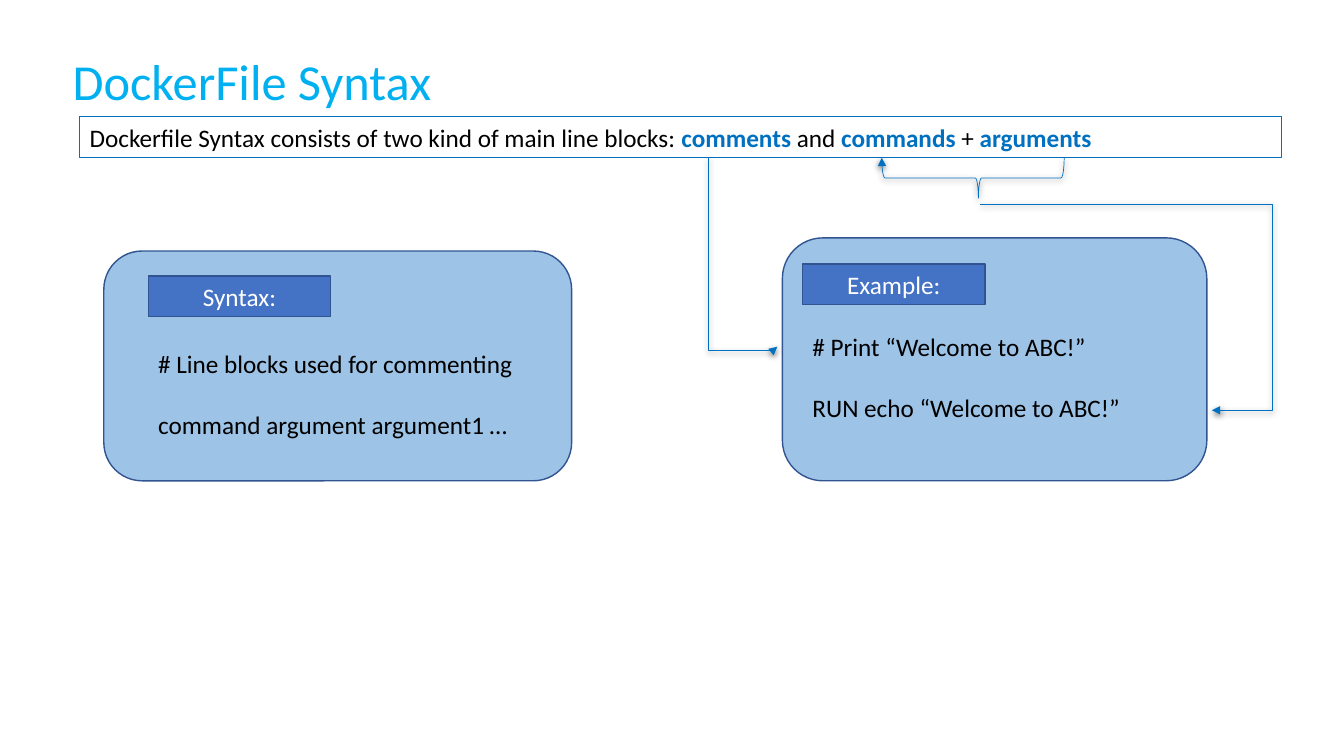
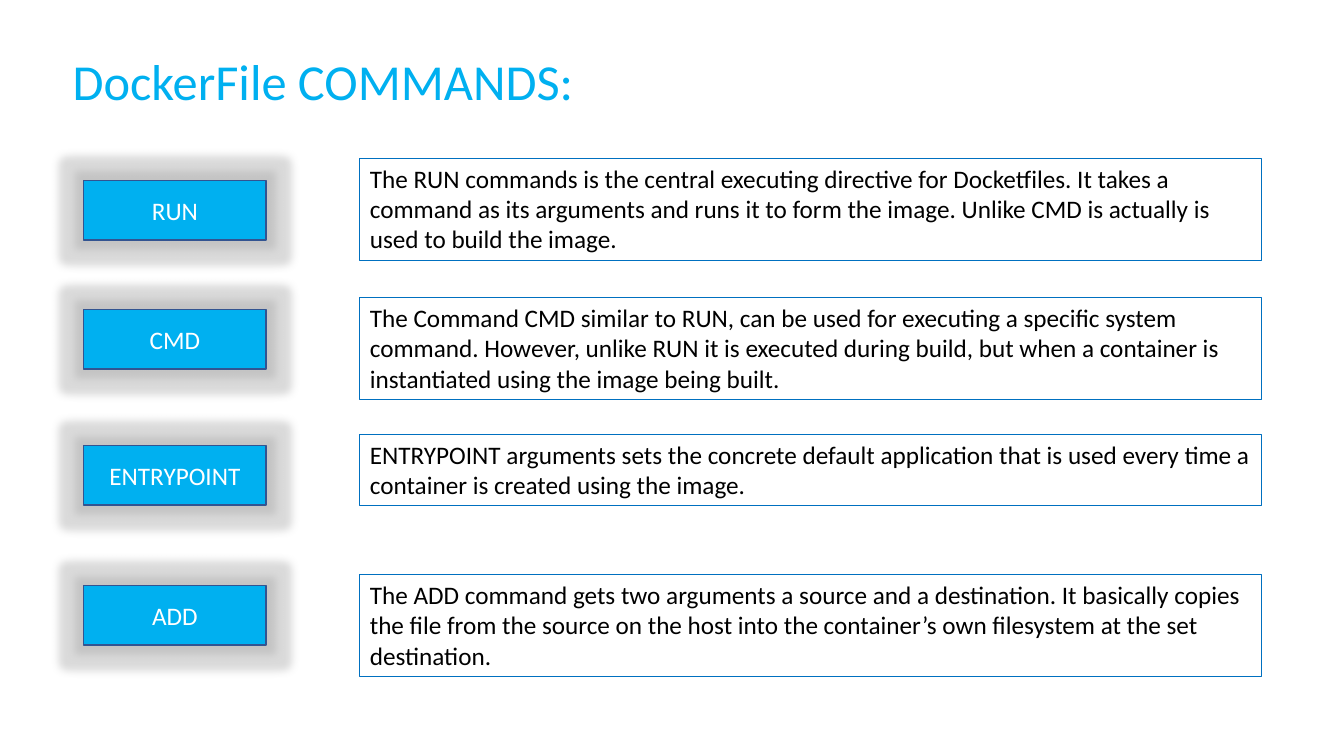
import dataclasses
import typing

import lxml.etree
import pptx
import pptx.dml.color
import pptx.enum.shapes
import pptx.enum.text
import pptx.oxml.ns
import pptx.util

Inches = pptx.util.Inches
Pt = pptx.util.Pt
qn = pptx.oxml.ns.qn
PRESET = pptx.enum.shapes.MSO_SHAPE
ALIGN = pptx.enum.text.PP_ALIGN
ANCHOR = pptx.enum.text.MSO_ANCHOR
AUTO_SIZE = pptx.enum.text.MSO_AUTO_SIZE

FONT = "Calibri"
BRIGHT_BLUE = "00B0F0"
DEEP_BLUE = "0070C0"
LABEL_BLUE = "4472C4"
PANEL_BLUE = "9DC3E6"
EDGE_BLUE = "325491"
GLOW_GRAY = "A5A5A5"
BLACK = "000000"
WHITE = "FFFFFF"

LABEL_WIDTH = 1.81
BODY_FRAME = {"word_wrap": True, "auto_size": AUTO_SIZE.SHAPE_TO_FIT_TEXT, "vertical_anchor": ANCHOR.TOP}
LABEL_FRAME = {"word_wrap": True, "vertical_anchor": ANCHOR.MIDDLE}


class Area(typing.NamedTuple):
    left: float
    top: float
    width: float
    height: float

    def lengths(self) -> list[pptx.util.Length]:
        return [Inches(value) for value in self]


class Span(typing.NamedTuple):
    text: str
    color: str = BLACK
    bold: bool = False


@dataclasses.dataclass(frozen=True)
class Panel:
    area: Area
    label: str
    label_left: float
    label_top: float
    text_top: float
    lines: tuple[str, str]


@dataclasses.dataclass(frozen=True)
class Command:
    name: str
    label_top: float
    box_top: float
    box_height: float
    description: str


TITLE_AREA = Area(0.62, 0.45, 12.06, 0.71)
INTRO_AREA = Area(0.79, 1.16, 11.92, 0.4)
INTRO = [
    Span("Dockerfile Syntax consists of two kind of main line blocks: "),
    Span("comments", DEEP_BLUE, True),
    Span(" and "),
    Span("commands", DEEP_BLUE, True),
    Span(" + "),
    Span("arguments", DEEP_BLUE, True),
]
PANELS = [
    Panel(Area(1.03, 2.49, 4.64, 2.28), "Syntax:", 1.47, 2.74, 3.41,
          ("# Line blocks used for commenting", "command argument argument1 …")),
    Panel(Area(7.76, 2.36, 4.21, 2.41), "Example:", 7.96, 2.62, 3.24,
          ("# Print “Welcome to ABC!”", "RUN echo “Welcome to ABC!”")),
]
COMMANDS = [
    Command("RUN", 1.79, 1.57, 1.01,
            "The RUN commands is the central executing directive for Docketfiles. It takes a command "
            "as its arguments and runs it to form the image. Unlike CMD is actually is used to build "
            "the image."),
    Command("CMD", 3.07, 2.95, 1.01,
            "The Command CMD similar to RUN, can be used for executing a specific system command. "
            "However, unlike RUN it is executed during build, but when a container is instantiated "
            "using the image being built."),
    Command("ENTRYPOINT", 4.42, 4.31, 0.71,
            "ENTRYPOINT arguments sets the concrete default application that is used every time a "
            "container is created using the image."),
    Command("ADD", 5.81, 5.7, 1.01,
            "The ADD command gets two arguments a source and a destination. It basically copies the "
            "file from the source on the host into the container’s own filesystem at the set "
            "destination."),
]


def rgb(color: str) -> pptx.dml.color.RGBColor:
    return pptx.dml.color.RGBColor.from_string(color)


def apply_format(target, values: dict[str, typing.Any]) -> None:
    for name, value in values.items():
        setattr(target, name, value)


def set_line(shape, color: str, width: float) -> None:
    shape.line.color.rgb = rgb(color)
    shape.line.width = Pt(width)


def add_effect(shape, kind: str, color: str, opacity: int, **values: int) -> None:
    properties = shape.element.spPr
    effects = properties.find(qn("a:effectLst"))
    if effects is None:
        effects = lxml.etree.SubElement(properties, qn("a:effectLst"))
    effect = lxml.etree.SubElement(effects, qn(f"a:{kind}"))
    for name, value in values.items():
        effect.set(name, str(int(value)))
    tint = lxml.etree.SubElement(effect, qn("a:srgbClr"), val=color)
    lxml.etree.SubElement(tint, qn("a:alpha"), val=str(opacity * 1000))


def style_pointer(shape) -> None:
    """Give a connector or brace its thin line, arrowhead and soft shadow."""
    set_line(shape, DEEP_BLUE, 0.5)
    line = shape.element.spPr.find(qn("a:ln"))
    lxml.etree.SubElement(line, qn("a:tailEnd"), type="triangle")
    add_effect(shape, "outerShdw", BLACK, 63, blurRad=Pt(4.5), dist=Pt(1.5), dir=5400000)


def write_spans(para, spans: list[Span], size: float = 18) -> None:
    for span in spans:
        run = para.add_run()
        run.text = span.text
        apply_format(run.font, {"name": FONT, "size": Pt(size), "bold": span.bold})
        run.font.color.rgb = rgb(span.color)


def add_title_slide(deck, title: str):
    slide = deck.slides.add_slide(deck.slide_layouts[5])
    box = slide.shapes.title
    apply_format(box, dict(zip(("left", "top", "width", "height"), TITLE_AREA.lengths())))
    apply_format(box.text_frame, BODY_FRAME)
    para = box.text_frame.paragraphs[0]
    para.alignment = ALIGN.LEFT
    write_spans(para, [Span(title, BRIGHT_BLUE)], 36)
    return slide


def add_text(slide, area: Area, paragraphs: list[list[Span]], framed: bool = False) -> None:
    box = slide.shapes.add_textbox(*area.lengths())
    apply_format(box.text_frame, BODY_FRAME)
    if framed:
        set_line(box, DEEP_BLUE, 0.75)
    for index, spans in enumerate(paragraphs):
        para = box.text_frame.add_paragraph() if index else box.text_frame.paragraphs[0]
        if index:
            para.space_before = Pt(22)
        write_spans(para, spans)


def add_block(slide, preset, area: Area, fill: str, label: str = ""):
    shape = slide.shapes.add_shape(preset, *area.lengths())
    shape.shadow.inherit = False
    shape.fill.solid()
    shape.fill.fore_color.rgb = rgb(fill)
    set_line(shape, EDGE_BLUE, 1)
    if label:
        apply_format(shape.text_frame, LABEL_FRAME)
        para = shape.text_frame.paragraphs[0]
        para.alignment = ALIGN.CENTER
        write_spans(para, [Span(label, WHITE)])
    return shape


def add_panel(slide, panel: Panel) -> None:
    add_block(slide, PRESET.ROUNDED_RECTANGLE, panel.area, PANEL_BLUE)
    label_area = Area(panel.label_left, panel.label_top, LABEL_WIDTH, 0.4)
    add_block(slide, PRESET.RECTANGLE, label_area, LABEL_BLUE, panel.label)
    text_area = Area(panel.label_left, panel.text_top, 3.84, 1.01)
    add_text(slide, text_area, [[Span(line)] for line in panel.lines])


def add_elbow(slide, begin: tuple[float, float], end: tuple[float, float], bend: float,
              rotation: int = 0) -> None:
    """Draw an elbow arrow; the ends are given before the rotation in degrees."""
    points = [Inches(value) for value in (*begin, *end)]
    elbow = slide.shapes.add_connector(pptx.enum.shapes.MSO_CONNECTOR.ELBOW, *points)
    properties = elbow.element.spPr
    if rotation:
        properties.find(qn("a:xfrm")).set("rot", str(rotation * 60000))
    geometry = properties.find(qn("a:prstGeom"))
    guides = geometry.find(qn("a:avLst"))
    if guides is None:
        guides = lxml.etree.SubElement(geometry, qn("a:avLst"))
    lxml.etree.SubElement(guides, qn("a:gd"), name="adj1", fmla=f"val {round(bend * 100000)}")
    style_pointer(elbow)


def add_brace(slide, area: Area) -> None:
    brace = slide.shapes.add_shape(PRESET.LEFT_BRACE, *area.lengths())
    brace.rotation = 270
    brace.adjustments[0] = 0.08
    brace.adjustments[1] = 0.53
    brace.shadow.inherit = False
    brace.fill.background()
    style_pointer(brace)


def build_syntax_slide(deck) -> None:
    slide = add_title_slide(deck, "DockerFile Syntax")
    add_text(slide, INTRO_AREA, [INTRO], framed=True)
    for panel in PANELS:
        add_panel(slide, panel)
    add_elbow(slide, (9.72, 2.03), (12.02, 4.07), 1.26)
    add_brace(slide, Area(9.45, 0.86, 0.4, 1.81))
    add_elbow(slide, (8.31, 2.16), (6.43, 2.84), 1.02, rotation=270)


def build_commands_slide(deck) -> None:
    slide = add_title_slide(deck, "DockerFile COMMANDS:")
    for command in COMMANDS:
        box_area = Area(3.57, command.box_top, 8.94, command.box_height)
        add_text(slide, box_area, [[Span(command.description)]], framed=True)
        label_area = Area(0.83, command.label_top, LABEL_WIDTH, 0.59)
        label = add_block(slide, PRESET.RECTANGLE, label_area, BRIGHT_BLUE, command.name)
        add_effect(label, "glow", GLOW_GRAY, 40, rad=Pt(12))


def main() -> None:
    deck = pptx.Presentation()
    deck.slide_width = Inches(13.33)
    deck.slide_height = Inches(7.5)
    build_syntax_slide(deck)
    build_commands_slide(deck)
    deck.save("out.pptx")


if __name__ == "__main__":
    main()
